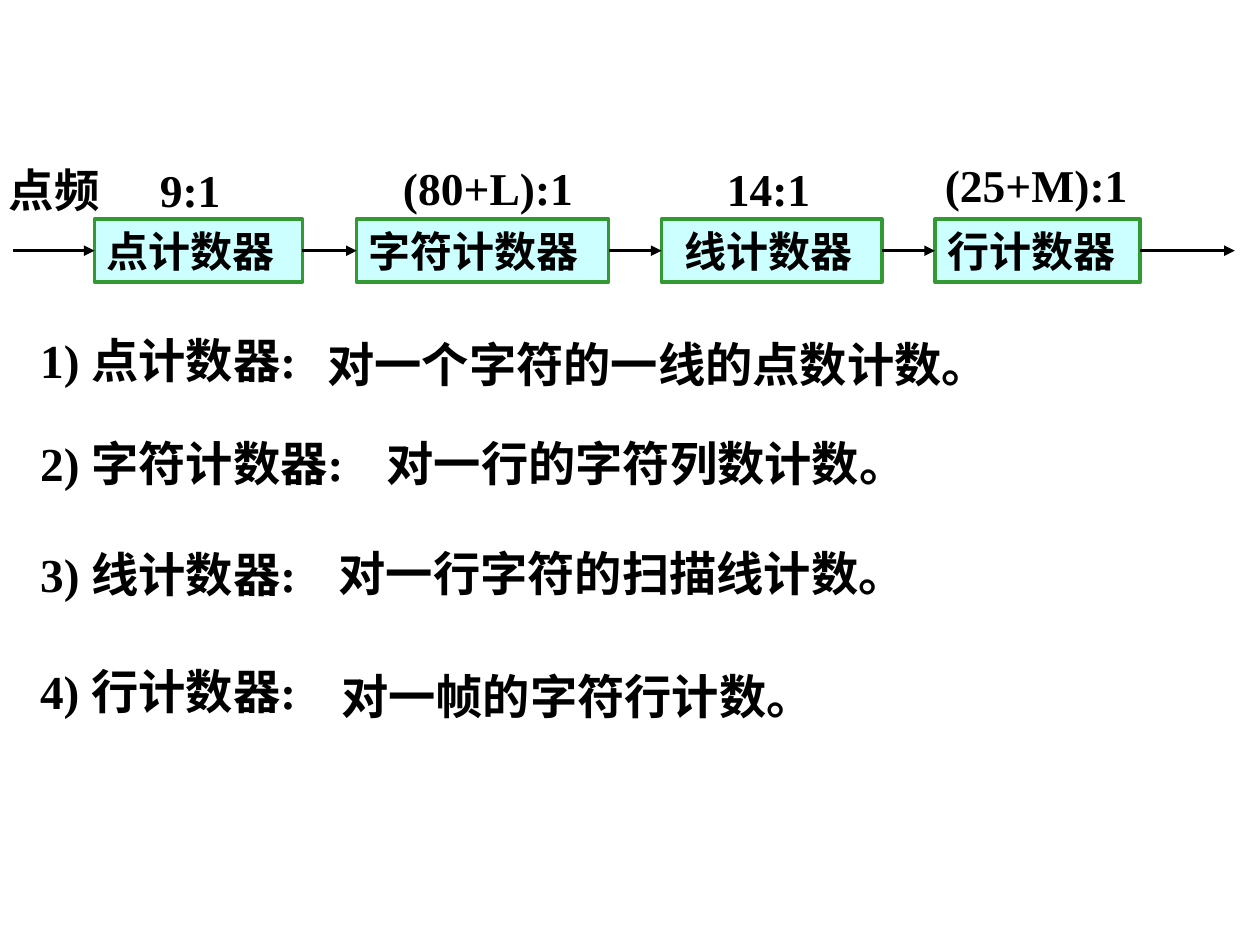
from dataclasses import dataclass

from lxml.etree import SubElement
from pptx import Presentation
from pptx.dml.color import RGBColor
from pptx.enum.shapes import MSO_CONNECTOR, MSO_SHAPE
from pptx.enum.text import MSO_ANCHOR, PP_ALIGN
from pptx.oxml.ns import qn
from pptx.util import Inches, Pt


@dataclass(frozen=True)
class Theme:
    latin: str = "Times New Roman"
    asian: str = "Noto Sans CJK SC"
    ink: RGBColor = RGBColor(0x00, 0x00, 0x00)
    fill: RGBColor = RGBColor(0xCC, 0xFF, 0xFF)
    border: RGBColor = RGBColor(0x33, 0x99, 0x33)
    stage_size: int = 24
    ratio_size: int = 26
    list_size: int = 27
    line_width: int = 2


THEME = Theme()

STAGES = [
    ("点计数器", 0.75, 1.65, 0),
    ("字符计数器", 2.83, 2, 0),
    ("线计数器", 5.25, 1.75, 0.08),
    ("行计数器", 7.42, 1.63, 0),
]
RATIOS = [
    ("点频", -0.03, 0.04, 1.11, THEME.asian),
    ("9:1", 1.17, 0.04, 1.17, THEME.latin),
    ("(80+L):1", 3.1, 0.02, 1.67, THEME.latin),
    ("14:1", 5.67, 0.03, 1.29, THEME.latin),
    ("(25+M):1", 7.4, 0, 1.91, THEME.latin),
]
DEFINITIONS = [
    (0, "1) 点计数器:", 3.08, 2.28, 0.03, "对一个字符的一线的点数计数。", 6.46),
    (0.82, "2) 字符计数器:", 2.72, 2.75, 0, "对一行的字符列数计数。", 5.13),
    (1.7, "3) 线计数器:", 2.45, 2.37, -0.01, "对一行字符的扫描线计数。", 5.25),
    (2.63, "4) 行计数器:", 2.5, 2.39, 0.04, "对一帧的字符行计数。", 4.99),
]


def write(shape, text, size, latin=THEME.latin, indent=0):
    frame = shape.text_frame
    layout = {
        "word_wrap": False,
        "vertical_anchor": MSO_ANCHOR.TOP,
        "margin_left": Inches(0.1 + indent),
    }
    for name, value in layout.items():
        setattr(frame, name, value)
    para = frame.paragraphs[0]
    para.alignment = PP_ALIGN.LEFT
    span = para.add_run()
    span.text = text
    for name, value in {"name": latin, "size": Pt(size), "bold": True}.items():
        setattr(span.font, name, value)
    span.font.color.rgb = THEME.ink
    SubElement(span.font._element, qn("a:ea"), typeface=THEME.asian)


def add_text(page, left, top, width, height, text, size, latin=THEME.latin):
    box = page.shapes.add_textbox(*map(Inches, (left, top, width, height)))
    write(box, text, size, latin)


def add_stage(page, left, top, width, height, text, indent):
    box = page.shapes.add_shape(
        MSO_SHAPE.RECTANGLE, *map(Inches, (left, top, width, height))
    )
    box.shadow.inherit = False
    box.fill.solid()
    box.fill.fore_color.rgb = THEME.fill
    box.line.color.rgb = THEME.border
    box.line.width = Pt(THEME.line_width)
    write(box, text, THEME.stage_size, indent=indent)


def add_arrow(page, start, end, level):
    arrow = page.shapes.add_connector(
        MSO_CONNECTOR.STRAIGHT, *map(Inches, (start, level, end, level))
    )
    arrow.line.color.rgb = THEME.ink
    arrow.line.width = Pt(THEME.line_width)
    SubElement(arrow.line._get_or_add_ln(), qn("a:tailEnd"), type="triangle")
    SubElement(arrow._element.spPr, qn("a:effectLst"))


def add_counter_chain(page, left, top, width, height):
    for text, start, stage_width, indent in STAGES:
        add_stage(page, start, top, stage_width, height, text, indent)
    exits = [left] + [start + span for _, start, span, _ in STAGES]
    entries = [start for _, start, _, _ in STAGES] + [left + width]
    for start, end in zip(exits, entries):
        add_arrow(page, start, end, top + height / 2)


def add_ratio_row(page, top, height):
    for text, left, drop, width, latin in RATIOS:
        add_text(page, left, top + drop, width, height, text, THEME.ratio_size, latin)


def add_definitions(page, left, top, height):
    for drop, term, term_width, gap, shift, meaning, width in DEFINITIONS:
        row = top + drop
        add_text(page, left, row, term_width, height, term, THEME.list_size)
        add_text(page, left + gap, row + shift, width, height, meaning, THEME.list_size)


def main():
    deck = Presentation()
    deck.slide_width, deck.slide_height = Inches(10), Inches(7.5)
    page = deck.slides.add_slide(deck.slide_layouts[6])
    add_counter_chain(page, 0.1, 1.74, 9.7, 0.5)
    add_ratio_row(page, 1.2, 0.53)
    add_definitions(page, 0.22, 2.58, 0.55)
    deck.save("out.pptx")


if __name__ == "__main__":
    main()
